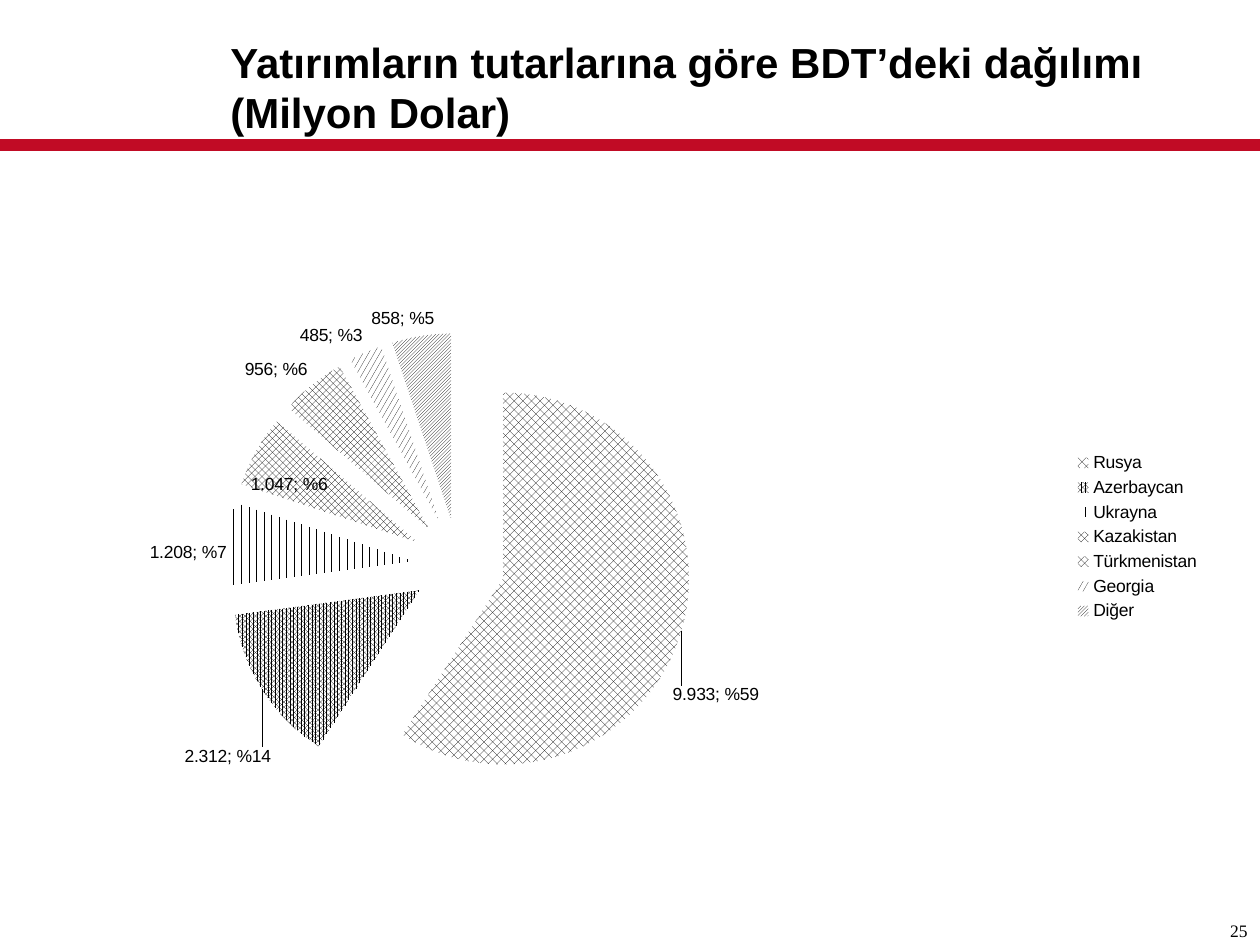
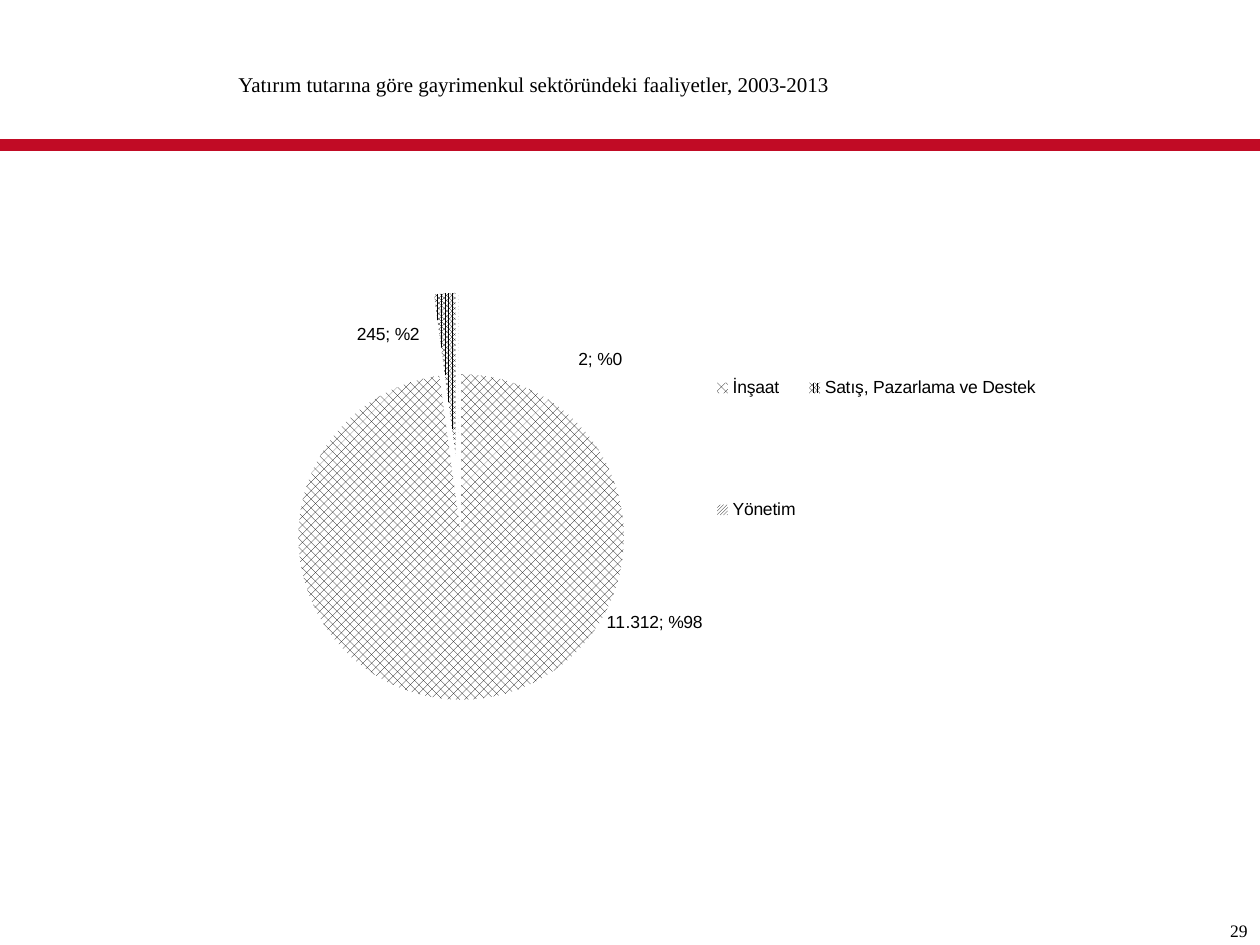
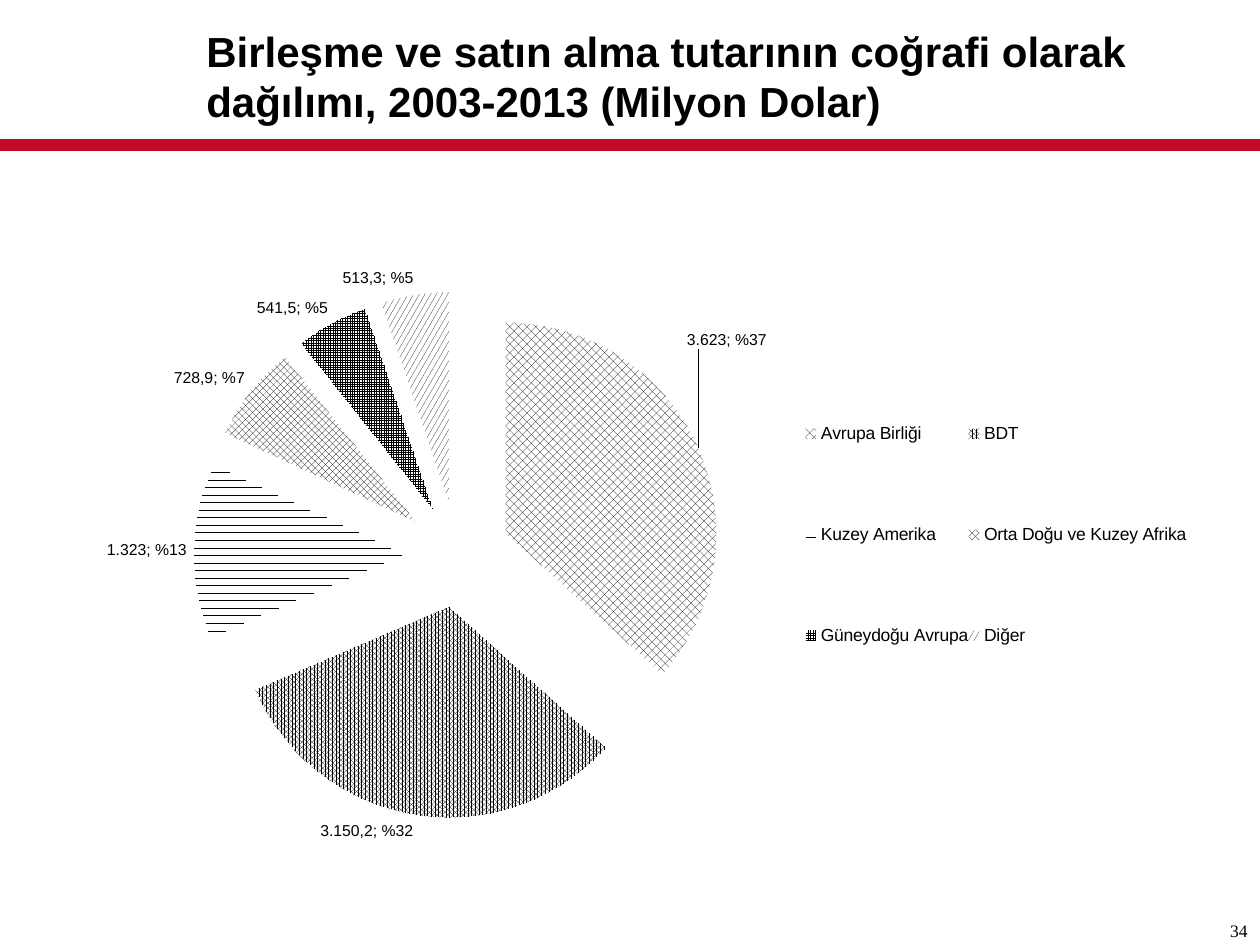
"""Build three slides of patterned, exploded pie charts under a red rule."""
from lxml.etree import SubElement
from pptx import Presentation
from pptx.chart.data import CategoryChartData
from pptx.dml.color import RGBColor
from pptx.enum.chart import XL_CHART_TYPE as ChartType
from pptx.enum.chart import XL_LABEL_POSITION as LabelPosition
from pptx.enum.chart import XL_LEGEND_POSITION as LegendPosition
from pptx.enum.dml import MSO_PATTERN as Pattern
from pptx.enum.shapes import MSO_CONNECTOR as Connector
from pptx.enum.text import PP_ALIGN as Align
from pptx.oxml import parse_xml
from pptx.oxml.ns import nsdecls, qn
from pptx.util import Pt

EMU_PER_PX = 914400 / 126
WIDTH, HEIGHT = 1260, 945
RULE_Y = 145
BLACK = RGBColor(0x00, 0x00, 0x00)
WHITE = RGBColor(0xFF, 0xFF, 0xFF)
RED = RGBColor(0xC1, 0x0B, 0x25)
SANS, SERIF = "Arial", "Times New Roman"


def px(*lengths):
    return [round(length * EMU_PER_PX) for length in lengths]


def style_font(font, name, size, bold=False):
    font.name, font.size, font.bold = name, Pt(size), bold
    font.color.rgb = BLACK


def set_layout(parent, index, chart_box, lengths, **modes):
    for old in parent.findall(qn("c:layout")):
        parent.remove(old)
    layout = parse_xml(f"<c:layout {nsdecls('c')}><c:manualLayout/></c:layout>")
    shares = [length / total for length, total in zip(lengths, chart_box[2:] * 2)]
    settings = {**modes, **dict(zip("xywh", shares))}
    for tag, value in settings.items():
        SubElement(layout[0], qn(f"c:{tag}")).set("val", str(value))
    parent.insert(index, layout)


class Deck:
    def __init__(self):
        self.presentation = Presentation()
        self.presentation.slide_width, self.presentation.slide_height = px(WIDTH, HEIGHT)
        self.slide = None

    def add_slide(self, number):
        self.slide = self.presentation.slides.add_slide(self.presentation.slide_layouts[6])
        self.rule()
        self.text(number, (1187, 914, 73, 32), SERIF, 10, align=Align.RIGHT)

    def rule(self):
        line = self.slide.shapes.add_connector(
            Connector.STRAIGHT, *px(WIDTH, RULE_Y, 0, RULE_Y))
        line.line.color.rgb = RED
        line.line.width = Pt(6.5)
        SubElement(line.element.spPr, qn("a:effectLst"))

    def text(self, content, box, font, size, bold=False, align=Align.LEFT):
        frame = self.slide.shapes.add_textbox(*px(*box)).text_frame
        frame.word_wrap = True
        frame.text = content
        for paragraph in frame.paragraphs:
            paragraph.alignment = align
            for run in paragraph.runs:
                style_font(run.font, font, size, bold)

    def title(self, content, box):
        self.text(content, box, SANS, 24, bold=True)

    def pie(self, box, plot, slices, legend=None, label_size=10, leaders=True,
            legend_side=LegendPosition.RIGHT, number_format="#,##0"):
        data = CategoryChartData(number_format=number_format)
        data.categories = [name for name, *_ in slices]
        data.add_series("Series 1", [value for _, value, *_ in slices])
        chart = self.slide.shapes.add_chart(ChartType.PIE, *px(*box), data).chart
        chart.has_title = False
        style_font(chart.font, SANS, 10)
        chart.has_legend = True
        chart.legend.position = legend_side
        chart.legend.include_in_layout = False
        chart.plots[0].vary_by_categories = True

        series = chart.plots[0].series[0]
        for index, (_, _, pattern, label, _) in enumerate(slices):
            point = series.points[index]
            self.fill_slice(point, pattern)
            self.label_slice(point.data_label, label, label_size)
        labels = series.data_labels
        style_font(labels.font, SANS, label_size, bold=True)
        labels.number_format = number_format
        labels.number_format_is_linked = False
        labels.position = LabelPosition.OUTSIDE_END

        root = chart.element
        edges = {"xMode": "edge", "yMode": "edge"}
        set_layout(root.find(".//" + qn("c:plotArea")), 0, box, plot,
                   layoutTarget="inner", **edges)
        if legend:
            set_layout(root.find(".//" + qn("c:legend")), 1, box, legend, **edges)
        for label, (*_, shift) in zip(root.iter(qn("c:dLbl")), slices):
            if shift:
                set_layout(label, 1, box, shift)
        flags = {"showVal": 1, "showPercent": 1, "showLeaderLines": int(leaders)}
        for tag, value in flags.items():
            for flag in root.iter(qn(f"c:{tag}")):
                flag.set("val", str(value))
        first_point = root.find(".//" + qn("c:dPt"))
        first_point.addprevious(
            parse_xml(f'<c:explosion {nsdecls("c")} val="25"/>'))

    def fill_slice(self, point, pattern):
        fill = point.format.fill
        fill.patterned()
        fill.pattern = Pattern.from_xml(pattern)
        fill.fore_color.rgb = BLACK
        fill.back_color.rgb = WHITE
        point.format.line.fill.background()

    def label_slice(self, label, content, size):
        label.text_frame.text = content
        for run in label.text_frame.paragraphs[0].runs:
            style_font(run.font, SANS, size)
        label.position = LabelPosition.OUTSIDE_END


def main():
    deck = Deck()

    deck.add_slide("25")
    deck.title("Yatırımların tutarlarına göre BDT’deki dağılımı\n(Milyon Dolar)",
               (218, 30, 1019, 115))
    deck.pie((99, 172, 1114, 730), (127, 117, 465, 553), [
        ("Rusya", 9933, "pct50", "9.933; %59", (-16, 52)),
        ("Azerbaycan", 2312, "pct80", "2.312; %14", (15, 53)),
        ("Ukrayna", 1208, "dashVert", "1.208; %7", (7, 19)),
        ("Kazakistan", 1048, "lgCheck", "1.047; %6", (78, 47)),
        ("Türkmenistan", 956, "openDmnd", "956; %6", None),
        ("Georgia", 485, "lgConfetti", "485; %3", None),
        ("Diğer", 859, "dkUpDiag", "858; %5", (14, 0)),
    ])

    deck.add_slide("29")
    deck.text("Yatırım tutarına göre gayrimenkul sektöründeki faaliyetler, 2003-2013",
              (226, 65, 808, 38), SERIF, 12)
    deck.pie((39, 0, 1062, 805), (216, 188, 407, 617), [
        ("İnşaat", 11312, "pct50", "11.312; %98", (182, -94)),
        ("Satış, Pazarlama ve Destek", 245, "pct80", "245; %2", (-56, 58)),
        ("Yönetim", 2, "dkUpDiag", "2; %0", (142, 84)),
    ], legend=(670, 276, 335, 346), leaders=False, legend_side=LegendPosition.TOP)

    deck.add_slide("34")
    deck.title("Birleşme ve satın alma tutarının coğrafi olarak dağılımı, "
               "2003-2013 (Milyon Dolar)", (194, 19, 1121, 115))
    deck.pie((56, 101, 1149, 801), (138, 148, 527, 612), [
        ("Avrupa Birliği", 3623, "pct50", "3.623; %37", (-18, -95)),
        ("BDT", 3150.2, "pct80", "3.150,2; %32", None),
        ("Kuzey Amerika", 1323, "dashHorz", "1.323; %13", None),
        ("Orta Doğu ve Kuzey Afrika", 728.9, "lgCheck", "728,9; %7", None),
        ("Güneydoğu Avrupa", 541.5, "smGrid", "541,5; %5", None),
        ("Diğer", 513.3, "lgConfetti", "513,3; %5", None),
    ], legend=(749, 242, 382, 384), label_size=9, number_format="#,##0.0")

    deck.presentation.save("out.pptx")


if __name__ == "__main__":
    main()
